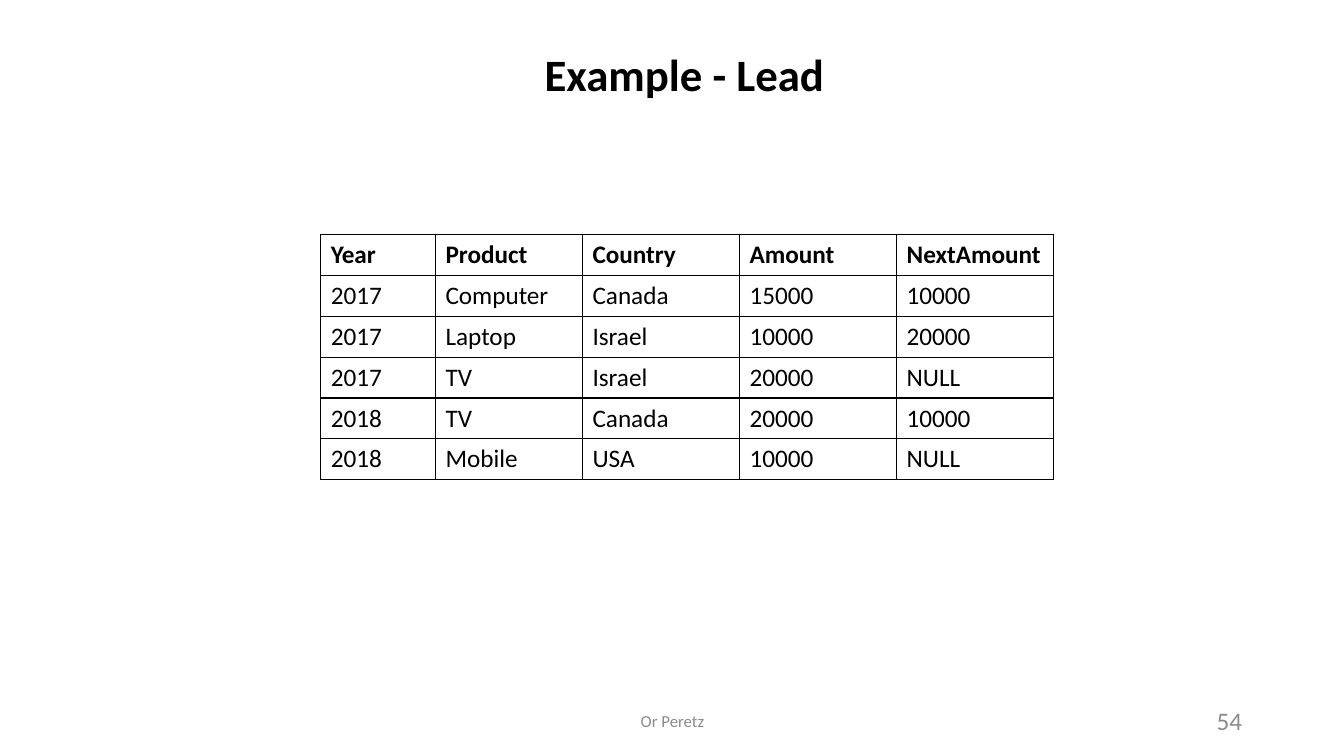
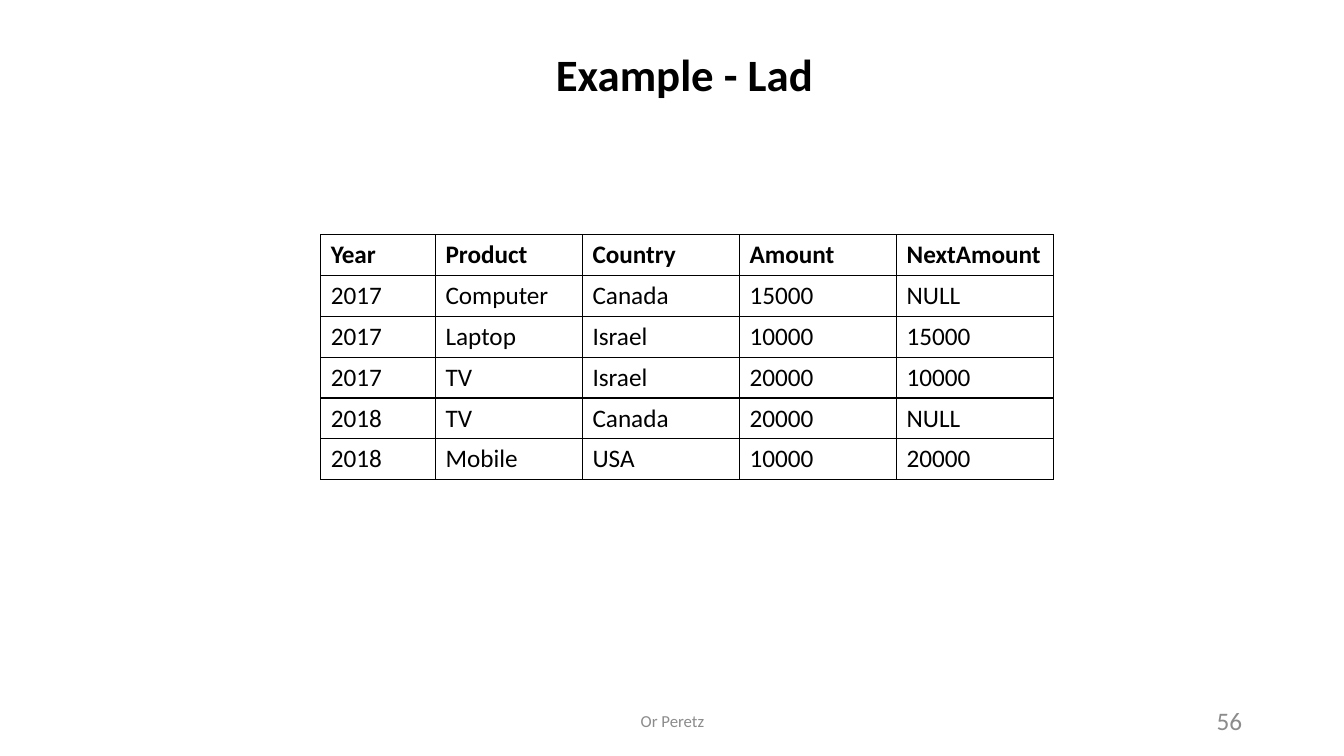
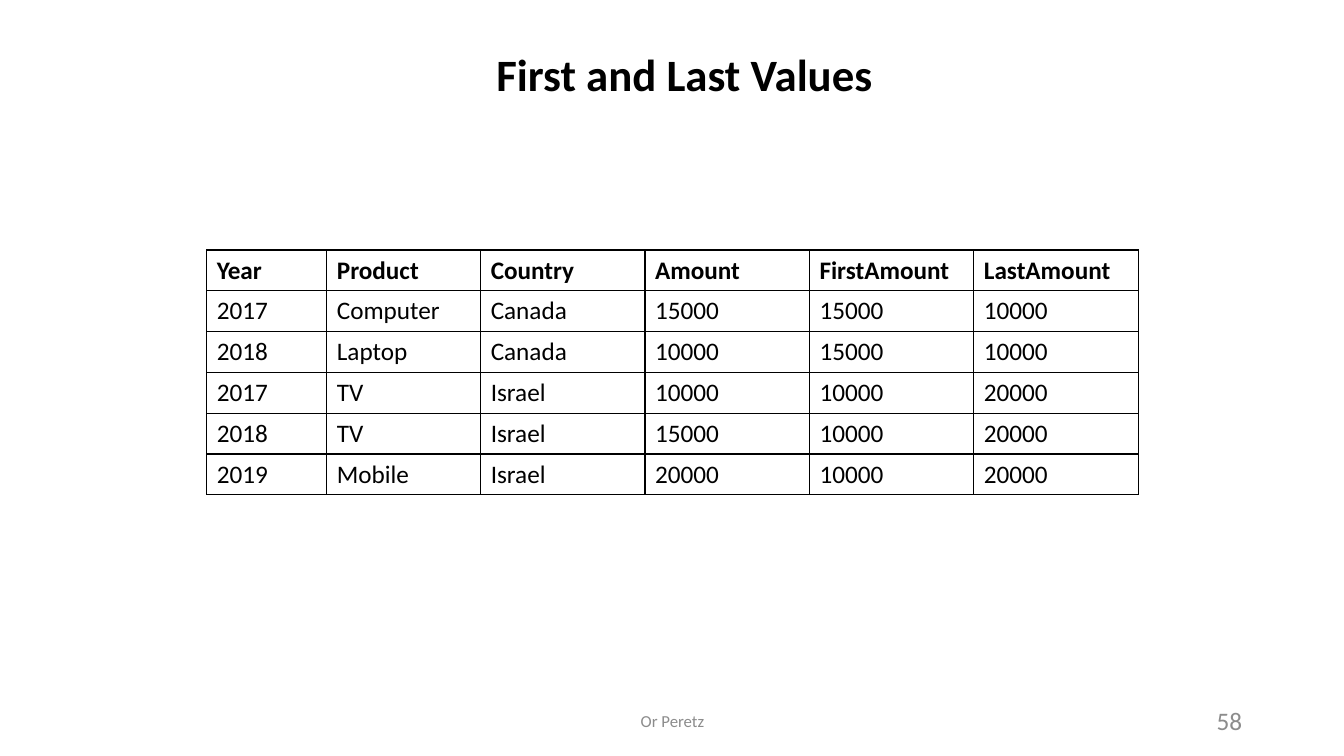
from dataclasses import dataclass

from lxml import etree
from pptx import Presentation
from pptx import util as u
from pptx.dml.color import RGBColor
from pptx.enum import text
from pptx.oxml import ns


@dataclass(frozen=True)
class Theme:
    font: str = "Calibri"
    ink: str = "000000"
    muted: str = "8C8C8C"
    title_size: int = 32
    body_size: int = 18
    footer_size: int = 12
    border_width: float = 1
    column_weights: tuple = (1.14, 1.46, 1.56, 1.56, 1.56, 1.56)


THEME = Theme()
WIDTH, HEIGHT = u.Inches(13.33), u.Inches(7.5)
TITLE_AREA = (3.3, 2, 95.27, 13.33)
NUMBER_AREA = (70.67, 92.67, 22.5, 5.33)
AUTHOR_AREA = (33.16, 92.67, 33.76, 5.33)
NEIGHBOUR_AREA = (23.86, 31.07, 54.54, 32.4)
FIRST_LAST_AREA = (15.38, 33.07, 69.32, 32.4)

SALES_HEADER = ("Year", "Product", "Country", "Amount")
SALES = [
    ("2017", "Computer", "Canada", "15000"),
    ("2017", "Laptop", "Israel", "10000"),
    ("2017", "TV", "Israel", "20000"),
    ("2018", "TV", "Canada", "20000"),
    ("2018", "Mobile", "USA", "10000"),
]
LEAD = ("10000", "20000", "NULL", "10000", "NULL")
LAG = ("NULL", "15000", "10000", "NULL", "20000")
FIRST_LAST = [
    ("2017", "Computer", "Canada", "15000", "15000", "10000"),
    ("2018", "Laptop", "Canada", "10000", "15000", "10000"),
    ("2017", "TV", "Israel", "10000", "10000", "20000"),
    ("2018", "TV", "Israel", "15000", "10000", "20000"),
    ("2019", "Mobile", "Israel", "20000", "10000", "20000"),
]


def percent_box(area):
    left, top, width, height = area
    return (int(WIDTH * left / 100), int(HEIGHT * top / 100),
            int(WIDTH * width / 100), int(HEIGHT * height / 100))


def write(frame, words, size=THEME.body_size, color=THEME.ink, bold=False,
          align=text.PP_ALIGN.LEFT, spacing=1.0):
    paragraph = frame.paragraphs[0]
    paragraph.alignment = align
    paragraph.line_spacing = spacing
    paragraph.space_before = u.Pt(0)
    run = paragraph.add_run()
    run.text = words
    run.font.name = THEME.font
    run.font.size = u.Pt(size)
    run.font.bold = bold
    run.font.color.rgb = RGBColor.from_string(color)


def add_title(slide, words):
    title = slide.shapes.title
    title.left, title.top, title.width, title.height = percent_box(TITLE_AREA)
    frame = title.text_frame
    frame.word_wrap = True
    frame.auto_size = text.MSO_AUTO_SIZE.NONE
    frame.vertical_anchor = text.MSO_ANCHOR.TOP
    write(frame, words, size=THEME.title_size, bold=True,
          align=text.PP_ALIGN.CENTER, spacing=1.5)


def add_footer(slide, area, words, **style):
    frame = slide.shapes.add_textbox(*percent_box(area)).text_frame
    frame.word_wrap = True
    frame.vertical_anchor = text.MSO_ANCHOR.MIDDLE
    write(frame, words, color=THEME.muted, **style)


def outline(cell):
    properties = cell._tc.get_or_add_tcPr()
    for position, side in enumerate(("lnL", "lnR", "lnT", "lnB")):
        line = etree.Element(ns.qn(f"a:{side}"), w=str(u.Pt(THEME.border_width)))
        fill = etree.SubElement(line, ns.qn("a:solidFill"))
        etree.SubElement(fill, ns.qn("a:srgbClr"), val=THEME.ink)
        properties.insert(position, line)


def add_grid(slide, area, header, records):
    rows = [header, *records]
    box = percent_box(area)
    table = slide.shapes.add_table(len(rows), len(header), *box).table
    table.first_row = table.horz_banding = False
    weights = THEME.column_weights[:len(header)]
    for column, weight in zip(table.columns, weights):
        column.width = int(box[2] * weight / sum(weights))
    for row_index, row in enumerate(rows):
        for column_index, value in enumerate(row):
            cell = table.cell(row_index, column_index)
            cell.fill.background()
            outline(cell)
            write(cell.text_frame, value, bold=row_index == 0)


def add_example(deck, title, number, area, header, records):
    slide = deck.slides.add_slide(deck.slide_layouts[5])
    add_title(slide, title)
    add_footer(slide, NUMBER_AREA, number, align=text.PP_ALIGN.RIGHT)
    add_footer(slide, AUTHOR_AREA, "Or Peretz", size=THEME.footer_size,
               align=text.PP_ALIGN.CENTER)
    add_grid(slide, area, header, records)


def main():
    deck = Presentation()
    deck.slide_width, deck.slide_height = WIDTH, HEIGHT
    for title, number, neighbours in (("Example - Lead", "54", LEAD),
                                      ("Example - Lad", "56", LAG)):
        records = [(*sale, amount) for sale, amount in zip(SALES, neighbours)]
        add_example(deck, title, number, NEIGHBOUR_AREA,
                    (*SALES_HEADER, "NextAmount"), records)
    add_example(deck, "First and Last Values", "58", FIRST_LAST_AREA,
                (*SALES_HEADER, "FirstAmount", "LastAmount"), FIRST_LAST)
    deck.save("out.pptx")


if __name__ == "__main__":
    main()
